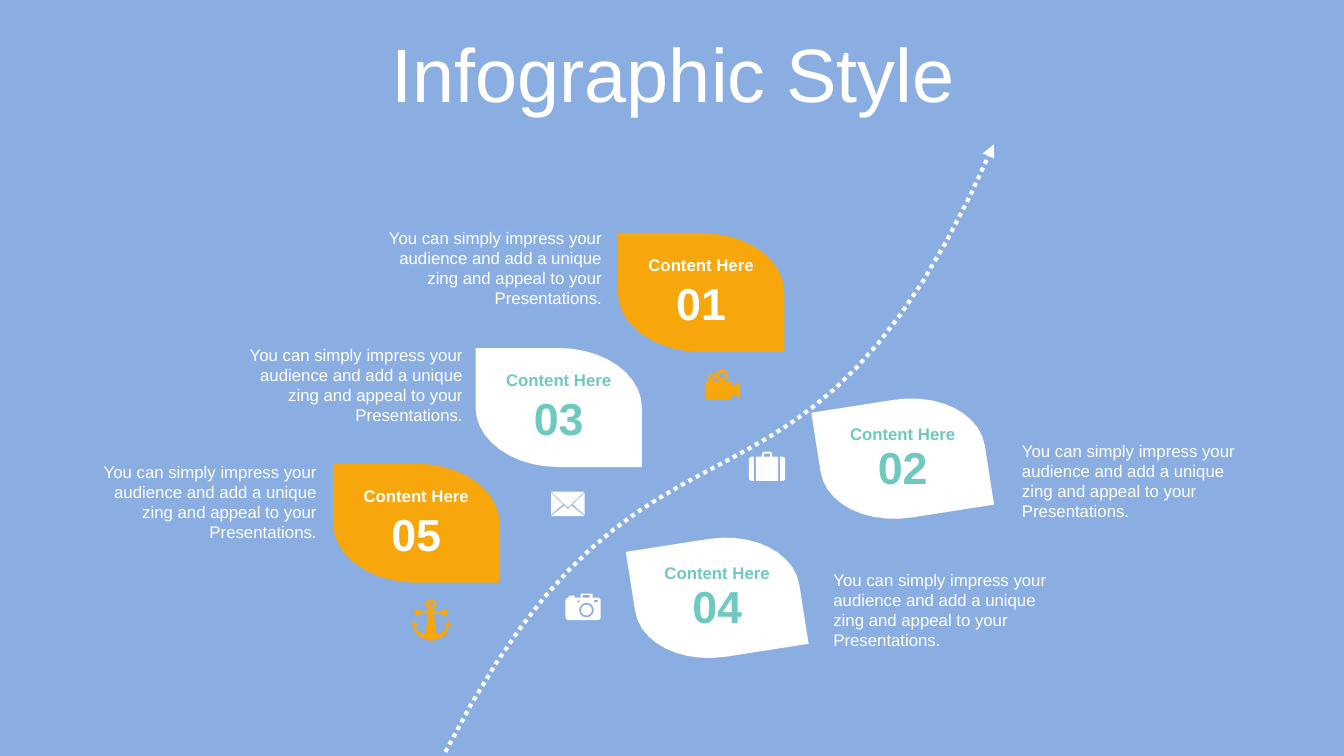
from pptx import Presentation
from pptx.dml.color import RGBColor
from pptx.enum.dml import MSO_LINE
from pptx.enum.text import MSO_ANCHOR as Anchor, PP_ALIGN as Align
from pptx.oxml import parse_xml
from pptx.oxml.ns import nsdecls, qn
from pptx.util import Pt

COLORS = {"sky": "8AAEE2", "white": "FFFFFF", "orange": "F7A60B", "teal": "6FC9C1"}
FONT = "Arial"
LEAF_W, LEAF_H = 118.8, 85
TILT = 351.1
NOTE_W, NOTE_H = 170, 65.5
NOTE = "You can simply impress your audience and add a unique zing and appeal to your Presentations."

# number, leaf left and top, leaf fill, text colour, rotation, note left and top, note alignment
STEPS = [
    ("04", 452.9, 384.5, "white", "teal", TILT, 588.2, 403.2, Align.LEFT),
    ("02", 585.4, 285.1, "white", "teal", TILT, 722.9, 311, Align.LEFT),
    ("05", 237.9, 331.2, "orange", "white", 0, 63.4, 326.2, Align.RIGHT),
    ("03", 339.7, 248.6, "white", "teal", 0, 167.7, 242.6, Align.RIGHT),
    ("01", 441.4, 166.4, "orange", "white", 0, 267.1, 159.1, Align.RIGHT),
]


def rgb(name):
    return RGBColor.from_string(COLORS[name])


def flatten(steps, samples=3):
    """Turn (x, y) lines and (x1, y1, x2, y2, x, y) Bezier curves into points."""
    points = []
    for step in steps:
        if len(step) == 2:
            points.append(step)
            continue
        corners = [points[-1], step[:2], step[2:4], step[4:]]
        for i in range(1, samples + 1):
            t = i / samples
            weights = ((1 - t) ** 3, 3 * t * (1 - t) ** 2, 3 * t * t * (1 - t), t ** 3)
            points.append(tuple(sum(w * c[axis] for w, c in zip(weights, corners))
                                for axis in (0, 1)))
    return points


def box_outline(left, top, right, bottom, radius=0):
    if not radius:
        return [(left, top), (right, top), (right, bottom), (left, bottom)]
    r, k = radius, radius * 0.45
    return flatten([
        (left + r, top), (right - r, top),
        (right - k, top, right, top + k, right, top + r), (right, bottom - r),
        (right, bottom - k, right - k, bottom, right - r, bottom), (left + r, bottom),
        (left + k, bottom, left, bottom - k, left, bottom - r), (left, top + r),
        (left, top + k, left + k, top, left + r, top),
    ])


def disc(x, y, radius):
    return box_outline(x - radius, y - radius, x + radius, y + radius, radius)


def mirrored(points):
    return points + [(-x, y) for x, y in reversed(points)]


def add_outline(page, left, top, contours, close=True):
    builder = None
    for contour in contours:
        start, *rest = [(Pt(x), Pt(y)) for x, y in contour]
        if builder is None:
            builder = page.shapes.build_freeform(*start, scale=1.0)
        else:
            builder.move_to(*start)
        builder.add_line_segments(rest, close=close)
    shape = builder.convert_to_shape(Pt(left), Pt(top))
    shape.shadow.inherit = False
    return shape


def add_solid(page, left, top, contours, color):
    shape = add_outline(page, left, top, contours)
    shape.fill.solid()
    shape.fill.fore_color.rgb = rgb(color)
    shape.line.fill.background()
    return shape


def add_dotted_arrow(page):
    curve = flatten([(318.2, 537.1), (465.8, 248.4, 572.4, 417.6, 709.9, 103.2)], 24)
    arrow = add_outline(page, 0, 0, [curve], close=False)
    arrow.fill.background()
    arrow.line.color.rgb = rgb("white")
    arrow.line.width = Pt(3)
    arrow.line.dash_style = MSO_LINE.ROUND_DOT
    head = parse_xml(f'<a:tailEnd {nsdecls("a")} type="triangle"/>')
    arrow.element.spPr.find(qn("a:ln")).append(head)


def write(box, text, size, color, align, anchor=Anchor.TOP, bold=False):
    frame = box.text_frame
    frame.word_wrap = True
    frame.vertical_anchor = anchor
    para = frame.paragraphs[0]
    para.alignment = align
    span = para.add_run()
    span.text = text
    span.font.name = FONT
    span.font.size = Pt(size)
    span.font.bold = bold
    span.font.color.rgb = rgb(color)
    return para


def add_text(page, left, top, width, height, *style, **options):
    box = page.shapes.add_textbox(Pt(left), Pt(top), Pt(width), Pt(height))
    write(box, *style, **options)


def add_title(page):
    title = page.shapes.title
    title.left, title.top, title.width, title.height = Pt(25.2), Pt(22.3), Pt(911.5), Pt(66.2)
    para = write(title, "Infographic Style", 54, "white", Align.CENTER, Anchor.MIDDLE)
    para.line_spacing = 0.9


def add_leaf(page, left, top, fill, rotation):
    w, h = LEAF_W, LEAF_H
    outline = flatten([
        (0, 0), (0, h / 2), (0, 0.776 * h, 0.224 * w, h, w / 2, h),
        (w, h), (w, h / 2), (w, 0.224 * h, 0.776 * w, 0, w / 2, 0),
    ], 10)
    add_solid(page, left, top, [outline], fill).rotation = rotation


def add_step_text(page, number, left, top, color, rotation):
    label_dy, number_dy = (13.7, 25.2) if rotation else (12.2, 26.6)
    add_text(page, left, top + number_dy, LEAF_W, 46, number, 32, color,
             Align.CENTER, anchor=Anchor.MIDDLE, bold=True)
    add_text(page, left, top + label_dy, LEAF_W, 21.6, "Content Here", 12, color,
             Align.CENTER, bold=True)


def add_icons(page):
    envelope = [
        [(0, 0), (24, 0), (12, 11.5)],
        [(0, 0.9), (8.6, 9.2), (0, 16.6)],
        [(24, 0.9), (24, 16.6), (15.4, 9.2)],
        [(14.6, 10), (24, 17.5), (0, 17.5), (9.4, 10), (12, 12.6)],
    ]
    camera = [
        box_outline(0, 2.9, 25.2, 19, 2.2),
        box_outline(2.2, 1.4, 6.5, 2.9), box_outline(10.8, 0, 19.4, 2.9),
        box_outline(12.2, 0.9, 17.3, 2.9), box_outline(8.6, 5.1, 10.2, 6.4),
        box_outline(20.4, 4.6, 23.2, 6.1),
        disc(15, 11.8, 5.3), disc(15, 11.8, 3.9),
    ]
    movie_camera = [
        box_outline(0, 8.6, 19.4, 21.6, 2.2),
        [(19.4, 11.5), (21.2, 12), (25.2, 8.6), (25.2, 21.6), (21.2, 18), (19.4, 18.7)],
        disc(5, 5.7, 2.9), disc(5, 5.7, 1.2), disc(12.2, 4.3, 4.3), disc(12.2, 4.3, 2.2),
    ]
    suitcase = [
        flatten([(3.6, 3.6), (3.6, 20.9), (2, 20.9), (0.9, 20.9, 0, 20, 0, 18.9),
                 (0, 5.6), (0, 4.5, 0.9, 3.6, 2, 3.6)]),
        flatten([(22.4, 3.6), (22.4, 20.9), (24, 20.9), (25.1, 20.9, 26, 20, 26, 18.9),
                 (26, 5.6), (26, 4.5, 25.1, 3.6, 24, 3.6)]),
        box_outline(5, 3.6, 20.9, 20.9),
        [(9.4, 3.6), (9.4, 1.2), (10.5, 0), (15.5, 0), (16.6, 1.2), (16.6, 3.6)],
        box_outline(10.8, 1.4, 15.2, 3.6),
    ]
    anchor_half = flatten([
        (0, 0), (2.2, 0, 3.9, 1.6, 3.9, 3.6), (3.9, 5, 3.2, 6, 1.9, 6.6), (1.9, 8.6),
        (7.6, 8.6), (8, 7.7, 8.8, 7.2, 9.8, 7.2), (11.2, 7.2, 12, 8.2, 12, 9.3),
        (12, 10.5, 11.2, 11.5, 9.8, 11.5), (8.8, 11.5, 8, 11, 7.6, 10.1), (1.9, 10.1),
        (4, 24.6), (8.3, 24.1, 11.2, 22.3, 11.2, 18.2), (9.6, 18.2),
        (11, 17.3, 11.8, 16, 12.2, 14.6), (12.6, 16, 13.4, 17.3, 14.4, 18.2), (12.8, 18.2),
        (12.8, 23.5, 9, 28.6, 2, 28.9), (1.2, 29.2, 0.5, 29.7, 0, 30.4),
    ])
    anchor = [mirrored(anchor_half), disc(0, 3.6, 1.6)]
    for left, top, icon, color in [
        (393.6, 351.1, envelope, "white"),
        (403.9, 424, camera, "white"),
        (503.5, 263.8, movie_camera, "orange"),
        (534.9, 322.6, suitcase, "white"),
        (307.9, 428.2, anchor, "orange"),
    ]:
        add_solid(page, left, top, icon, color)


def main():
    deck = Presentation()
    deck.slide_width, deck.slide_height = Pt(960), Pt(540)
    page = deck.slides.add_slide(deck.slide_layouts[5])
    page.background.fill.solid()
    page.background.fill.fore_color.rgb = rgb("sky")
    add_title(page)
    for _, left, top, fill, _, rotation, *_ in STEPS:
        add_leaf(page, left, top, fill, rotation)
    add_dotted_arrow(page)
    for number, left, top, _, color, rotation, note_left, note_top, align in STEPS:
        add_step_text(page, number, left, top, color, rotation)
        add_text(page, note_left, note_top, NOTE_W, NOTE_H, NOTE, 12, "white", align)
    add_icons(page)
    deck.save("out.pptx")


if __name__ == "__main__":
    main()
